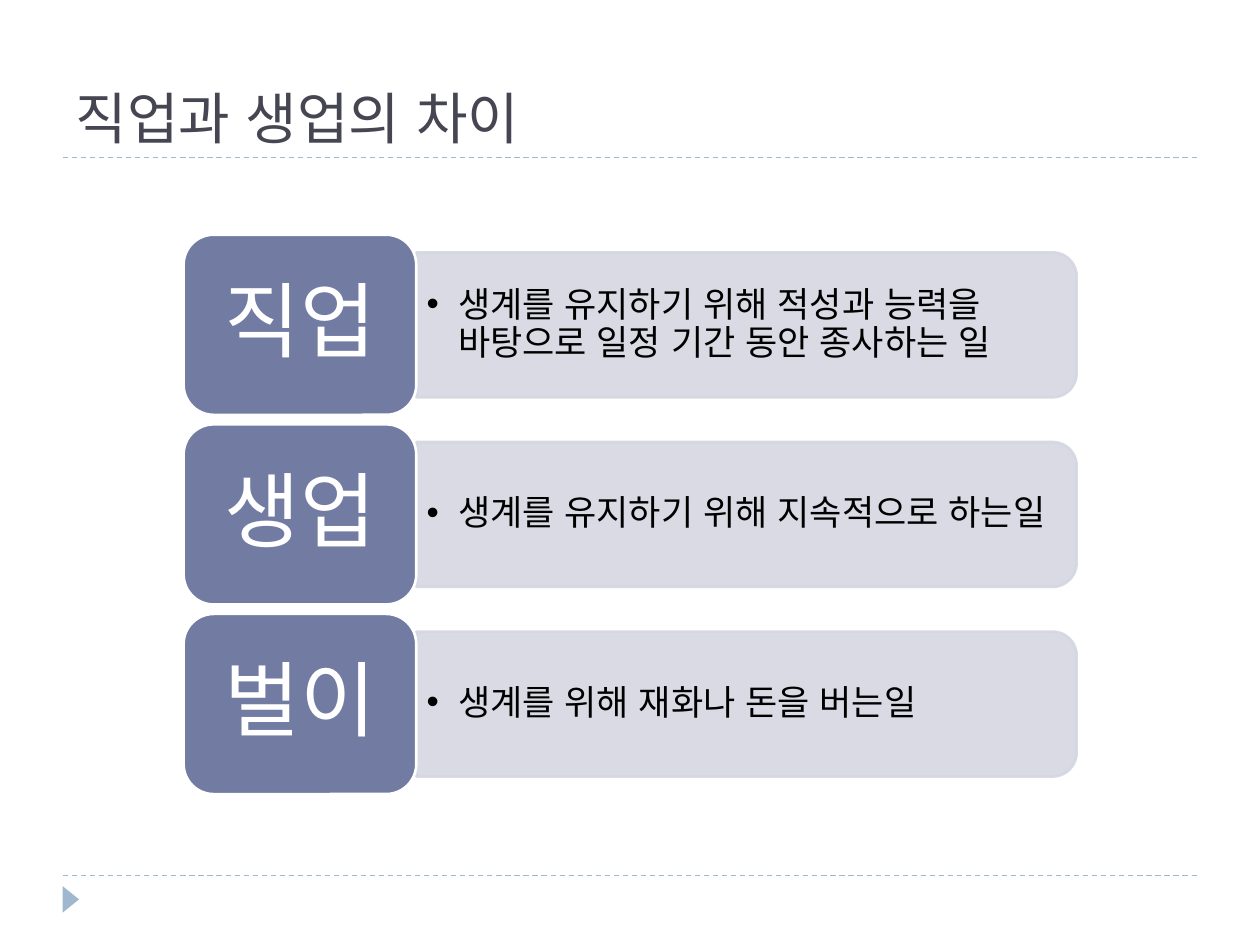
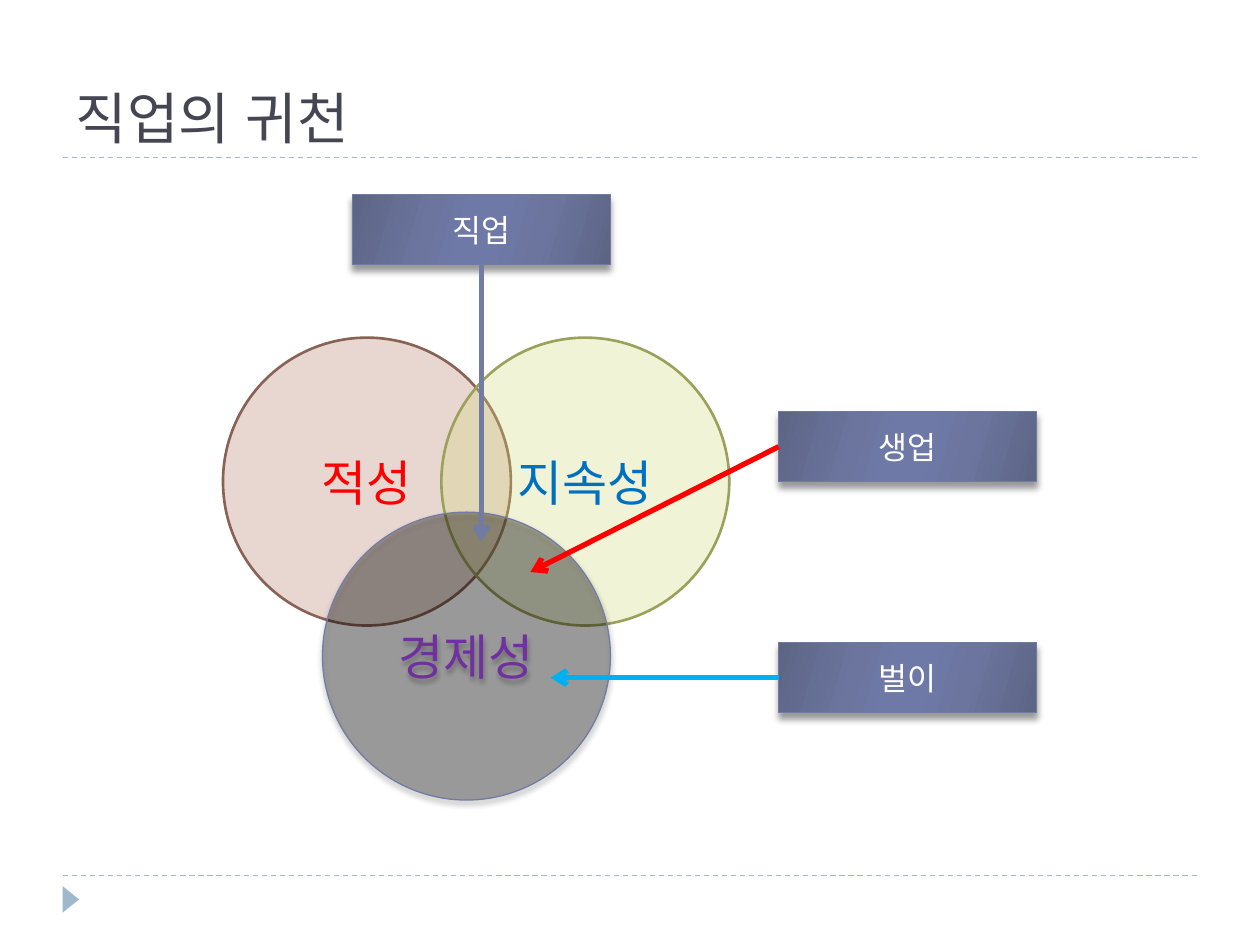
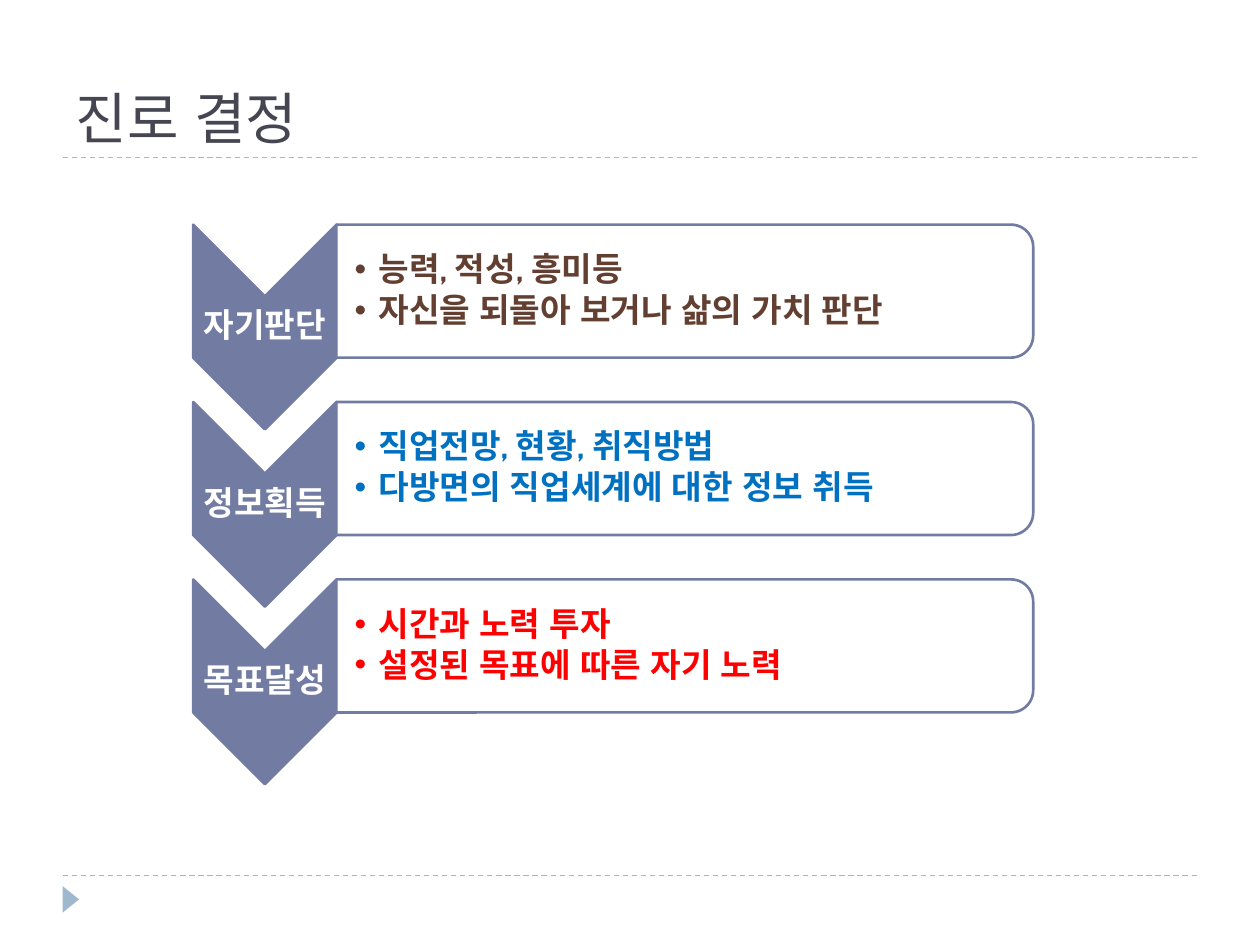
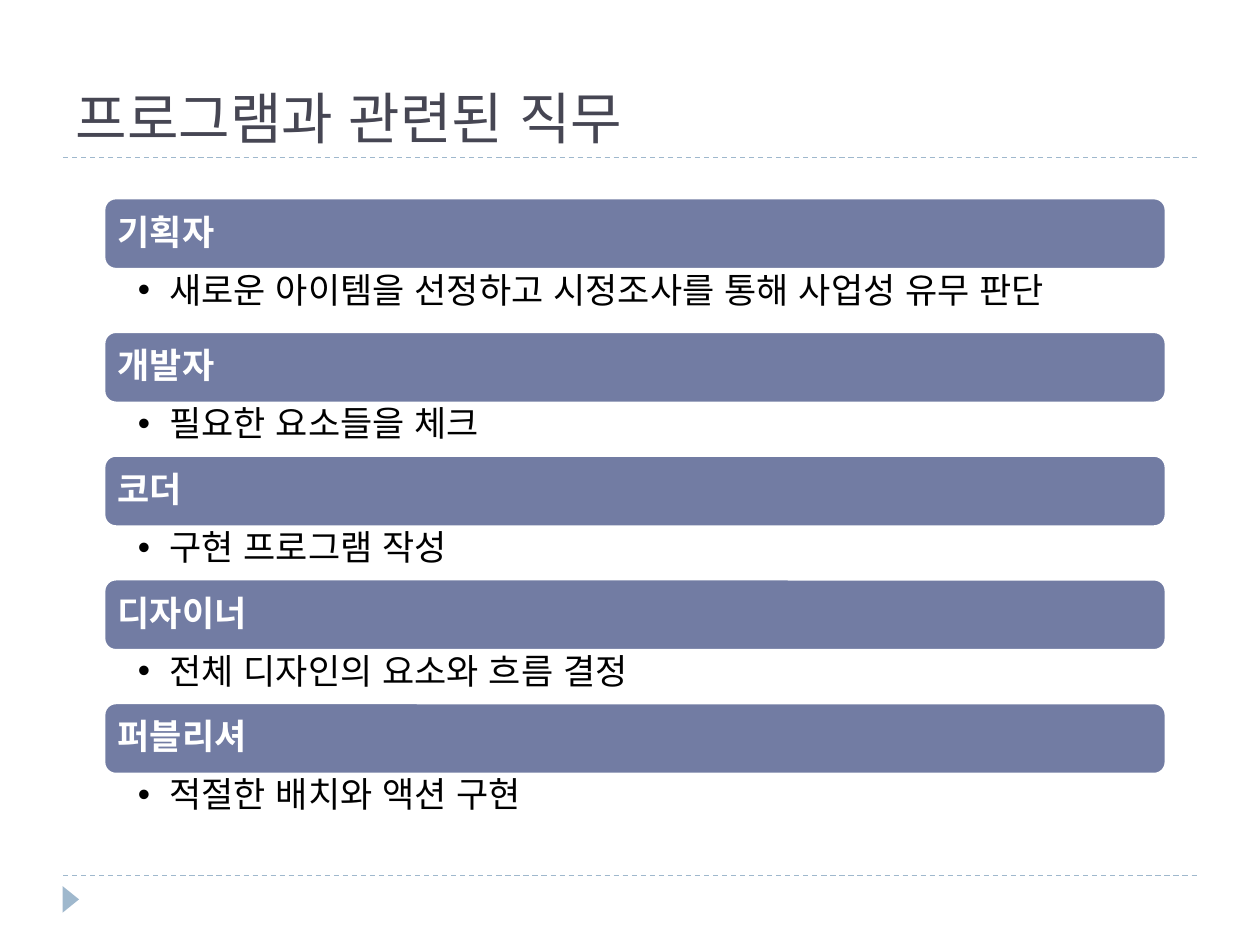
from typing import NamedTuple, Optional

from lxml.etree import SubElement
from pptx import Presentation
from pptx.dml.color import RGBColor
from pptx.enum.dml import MSO_LINE
from pptx.enum.lang import MSO_LANGUAGE_ID
from pptx.enum.shapes import MSO_CONNECTOR, MSO_SHAPE
from pptx.enum.text import MSO_ANCHOR, PP_ALIGN
from pptx.oxml.ns import qn
from pptx.util import Emu, Inches, Pt

# Slide and grid: 100 columns by 75 rows of square cells
SLIDE_W, SLIDE_H = Inches(10), Inches(7.5)
CELL = SLIDE_W / 100

# Colours
WHITE = RGBColor(0xFF, 0xFF, 0xFF)
BLACK = RGBColor(0x00, 0x00, 0x00)
TITLE_INK = RGBColor(0x46, 0x46, 0x53)
SLATE = RGBColor(0x72, 0x7C, 0xA3)
PALE_SLATE = RGBColor(0xD5, 0xD7, 0xE0)
SKY = RGBColor(0x9F, 0xB8, 0xCD)
RED = RGBColor(0xFF, 0x00, 0x00)
BLUE = RGBColor(0x00, 0x70, 0xC0)
CYAN = RGBColor(0x00, 0xB0, 0xF0)
PURPLE = RGBColor(0x70, 0x30, 0xA0)
BROWN = RGBColor(0x63, 0x3F, 0x32)
CLAY, CLAY_EDGE = RGBColor(0xB8, 0x84, 0x72), RGBColor(0x88, 0x62, 0x54)
LIME, LIME_EDGE = RGBColor(0xD2, 0xDA, 0x7A), RGBColor(0x9B, 0xA1, 0x5A)
SHADE, MIDTONE, SHINE = "5D6585", "6B759E", "6E79A7"
LABEL_GRADIENT = [(0, SHADE), (30, MIDTONE), (45, SHINE),
                  (55, SHINE), (73, MIDTONE), (100, SHADE)]

TITLE_FONT, BODY_FONT = "TeX Gyre Bonum", "Cabin"


class Box(NamedTuple):
    """Place on the slide, in columns and rows."""
    left: float
    top: float
    width: float
    height: float

    def emu(self) -> list:
        return [grid(n) for n in self]

    def turned(self) -> "Box":
        """Frame that covers this box after a quarter turn."""
        shift = (self.width - self.height) / 2
        return Box(self.left + shift, self.top - shift, self.height, self.width)


class Style(NamedTuple):
    size: float
    color: RGBColor
    bold: bool = False
    align: PP_ALIGN = PP_ALIGN.LEFT
    font: str = BODY_FONT
    spacing: Optional[float] = None  # line spacing
    after: float = 0                 # space after, as a share of the size
    indent: float = 0                # bullet indent in columns, 0 for none


class Circle(NamedTuple):
    text: str
    left: float
    top: float
    fill: RGBColor
    opacity: int
    edge: RGBColor
    edge_width: float
    ink: RGBColor


class Label(NamedTuple):
    text: str
    left: float
    top: float
    side: int        # connection site the arrow leaves from
    tip: tuple
    arrow: RGBColor


class Step(NamedTuple):
    name: str
    lines: list
    ink: RGBColor = BLACK


TITLE = Style(32, TITLE_INK, font=TITLE_FONT)


def grid(n: float) -> Emu:
    return Emu(round(n * CELL))


def set_opacity(sp, percent: int, parts=("a:solidFill",)) -> None:
    for part in parts:
        holder = sp.element.spPr
        for tag in (*part.split("/"), "a:srgbClr"):
            holder = holder.find(qn(tag))
        SubElement(holder, qn("a:alpha"), val=str(percent * 1000))


def add_shadow(sp, blur: float, distance: float) -> None:
    effects = sp.element.spPr.find(qn("a:effectLst"))
    shadow = SubElement(effects, qn("a:outerShdw"), blurRad=str(Pt(blur)),
                        dist=str(Pt(distance)), dir="5400000", rotWithShape="0")
    color = SubElement(shadow, qn("a:srgbClr"), val=str(BLACK))
    SubElement(color, qn("a:alpha"), val="40000")


def add_gradient(sp) -> None:
    sp.fill.gradient()
    sp.fill.gradient_angle = 344
    stops = sp.element.spPr.find(qn("a:gradFill")).find(qn("a:gsLst"))
    for stop in list(stops):
        stops.remove(stop)
    for position, color in LABEL_GRADIENT:
        stop = SubElement(stops, qn("a:gs"), pos=str(position * 1000))
        SubElement(stop, qn("a:srgbClr"), val=color)


def write(tf, lines: list, style: Style, anchor=MSO_ANCHOR.MIDDLE) -> None:
    tf.word_wrap = True
    tf.vertical_anchor = anchor
    for i, line in enumerate(lines):
        p = tf.add_paragraph() if i else tf.paragraphs[0]
        p.alignment = style.align
        if style.spacing:
            p.line_spacing = style.spacing
            p.space_after = Pt(style.size * style.after)
        if style.indent:
            p.level = 1
            pPr = p._p.get_or_add_pPr()
            pPr.set("marL", str(grid(style.indent)))
            pPr.set("indent", str(-grid(style.indent)))
            SubElement(pPr, qn("a:buFont"), typeface="Arial")
            SubElement(pPr, qn("a:buChar"), char="•")
        r = p.add_run()
        r.text = line
        r.font.language_id = MSO_LANGUAGE_ID.KOREAN
        r.font.name, r.font.size = style.font, Pt(style.size)
        r.font.bold = style.bold
        r.font.color.rgb = style.color


def add_text(s, box: Box, lines: list, style: Style, insets: tuple,
             anchor=MSO_ANCHOR.MIDDLE) -> None:
    tf = s.shapes.add_textbox(*box.emu()).text_frame
    (tf.margin_left, tf.margin_top,
     tf.margin_right, tf.margin_bottom) = [grid(n) for n in insets]
    write(tf, lines, style, anchor)


def add_shape(s, kind, box: Box, fill: Optional[RGBColor],
              edge: Optional[RGBColor] = None, edge_width: float = 1.5,
              turn: bool = False):
    frame = box.turned() if turn else box
    sp = s.shapes.add_shape(kind, *frame.emu())
    sp.shadow.inherit = False
    if turn:
        sp.rotation = 90
    if fill is None:
        add_gradient(sp)
    else:
        sp.fill.solid()
        sp.fill.fore_color.rgb = fill
    if edge is None:
        sp.line.fill.background()
    else:
        sp.line.color.rgb = edge
        sp.line.width = Pt(edge_width)
    return sp


def add_line(s, start: tuple, end: tuple, color: RGBColor, width: float):
    line = s.shapes.add_connector(MSO_CONNECTOR.STRAIGHT,
                                  *[grid(n) for n in (*start, *end)])
    line.line.color.rgb = color
    line.line.width = Pt(width)
    SubElement(line.element.spPr, qn("a:effectLst"))
    return line


def decorate_layout(layout, s) -> None:
    """Draw the dashed rules and the footer marker, then keep them on the layout."""
    parts = []
    for row in (69.5, 12.5):
        rule = add_line(s, (5, row), (95, row), SKY, 0.75)
        rule.line.dash_style = MSO_LINE.DASH
        parts.append(rule)
    parts.append(add_shape(s, MSO_SHAPE.ISOSCELES_TRIANGLE,
                           Box(4.97, 70.33, 1.3, 2.1), SKY, turn=True))
    for part in parts:
        layout.shapes.element.append(part.element)


def new_slide(prs, layout, title: str):
    s = prs.slides.add_slide(layout)
    ph = s.shapes.title
    ph.left, ph.top, ph.width, ph.height = Box(5, 2.5, 90, 10).emu()
    write(ph.text_frame, [title], TITLE, MSO_ANCHOR.BOTTOM)
    return s


# Slide 1: three terms with their definitions
def draw_terms(s) -> None:
    terms = [
        Step("직업", ["생계를 유지하기 위해 적성과 능력을 바탕으로 일정 기간 동안 종사하는 일"]),
        Step("생업", ["생계를 유지하기 위해 지속적으로 하는일"]),
        Step("벌이", ["생계를 위해 재화나 돈을 버는일"]),
    ]
    name_style = Style(47, WHITE, align=PP_ALIGN.CENTER, spacing=0.9, after=0.35)
    text_style = Style(20, BLACK, spacing=0.9, after=0.15, indent=2.5)
    for i, term in enumerate(terms):
        top = 18.63 + 15.05 * i
        bar = add_shape(s, MSO_SHAPE.ROUND_2_SAME_RECTANGLE,
                        Box(33.05, top + 1.4, 52.4, 11.5), PALE_SLATE, PALE_SLATE,
                        turn=True)
        set_opacity(bar, 90, ("a:solidFill", "a:ln/a:solidFill"))
        add_text(s, Box(33.05, top + 2, 51.9, 10.3), term.lines, text_style,
                 (0.8, 0.4, 0.8, 0.4))
        add_shape(s, MSO_SHAPE.ROUNDED_RECTANGLE, Box(14.57, top, 18.47, 14.3),
                  SLATE, WHITE)
        add_text(s, Box(15.27, top + 0.7, 17.1, 12.9), [term.name], name_style,
                 (2, 1, 2, 1))


# Slide 2: overlapping circles with labels pointing into them
def draw_circles(s) -> None:
    circles = [
        Circle("적성", 17.7, 26.8, CLAY, 32, CLAY_EDGE, 1.5, RED),
        Circle("지속성", 35.03, 26.8, LIME, 30, LIME_EDGE, 1.5, BLUE),
        Circle("경제성", 25.6, 40.65, BLACK, 31, SLATE, 0.75, PURPLE),
    ]
    labels = [
        Label("직업", 27.97, 15.45, 2, (38.2, 43), SLATE),
        Label("벌이", 61.8, 51, 1, (43.7, 53.78), CYAN),
        Label("생업", 61.8, 32.67, 1, (42.1, 45.4), RED),
    ]
    for c in circles:
        sp = add_shape(s, MSO_SHAPE.OVAL, Box(c.left, c.top, 22.85, 22.85),
                       c.fill, c.edge, c.edge_width)
        set_opacity(sp, c.opacity)
        write(sp.text_frame, [c.text], Style(28, c.ink, align=PP_ALIGN.CENTER))
    add_shadow(sp, 3, 2)  # only the front circle casts a shadow

    for label in labels:
        sp = add_shape(s, MSO_SHAPE.RECTANGLE, Box(label.left, label.top, 20.46, 5.56),
                       None, SLATE, 0.75)
        add_shadow(sp, 4, 3.4)
        write(sp.text_frame, [label.text], Style(18, WHITE, align=PP_ALIGN.CENTER))
        arrow = add_line(s, (label.left, label.top), label.tip, label.arrow, 3)
        arrow.begin_connect(sp, label.side)
        SubElement(arrow.element.spPr.find(qn("a:ln")), qn("a:tailEnd"), type="arrow")


# Slide 3: chevron steps
def draw_steps(s) -> None:
    steps = [
        Step("자기판단", ["능력, 적성, 흥미등", "자신을 되돌아 보거나 삶의 가치 판단"], BROWN),
        Step("정보획득", ["직업전망, 현황, 취직방법", "다방면의 직업세계에 대한 정보 취득"], BLUE),
        Step("목표달성", ["시간과 노력 투자", "설정된 목표에 따른 자기 노력"], RED),
    ]
    name_style = Style(19, WHITE, True, PP_ALIGN.CENTER, spacing=0.9, after=0.35)
    for i, step in enumerate(steps):
        top = 17.83 + 14.08 * i
        add_shape(s, MSO_SHAPE.CHEVRON, Box(15.34, top, 11.37, 16.24), SLATE, SLATE,
                  turn=True)
        add_text(s, Box(15.34, top + 5.68, 11.37, 4.87), [step.name], name_style,
                 (0.1, 0.1, 0.1, 0.1))
        bar = add_shape(s, MSO_SHAPE.ROUND_2_SAME_RECTANGLE,
                        Box(26.7, top, 55.3, 10.56), WHITE, SLATE, turn=True)
        set_opacity(bar, 90)
        add_text(s, Box(26.65, top + 0.52, 54.8, 9.53), step.lines,
                 Style(19, step.ink, True, spacing=0.9, after=0.15, indent=1.9),
                 (1.5, 0.1, 0.1, 0.1))


# Slide 4: job headings, each with its task below
def draw_jobs(s) -> None:
    jobs = [
        Step("기획자", ["새로운 아이템을 선정하고 시정조사를 통해 사업성 유무 판단"]),
        Step("개발자", ["필요한 요소들을 체크"]),
        Step("코더", ["구현 프로그램 작성"]),
        Step("디자이너", ["전체 디자인의 요소와 흐름 결정"]),
        Step("퍼블리셔", ["적절한 배치와 액션 구현"]),
    ]
    name_style = Style(20, WHITE, True, spacing=0.9, after=0.35)
    task_style = Style(20, BLACK, spacing=0.9, after=0.2, indent=2.5)
    top, band = 15.72, 5.64
    for i, job in enumerate(jobs):
        task_height = 4.18 if i else 4.97
        add_shape(s, MSO_SHAPE.ROUNDED_RECTANGLE, Box(8.26, top, 84.27, band),
                  SLATE, WHITE)
        add_text(s, Box(8.54, top + 0.28, 83.7, 5.09), [job.name], name_style,
                 (0.8, 0.8, 0.8, 0.8))
        add_text(s, Box(8.26, top + band, 84.27, task_height), job.lines, task_style,
                 (2.68, 0.3, 1.6, 0.3), MSO_ANCHOR.TOP)
        top += band + task_height


def main() -> None:
    prs = Presentation()
    prs.slide_width, prs.slide_height = SLIDE_W, SLIDE_H
    layout = prs.slide_layouts.get_by_name("Title Only")
    pages = [
        ("직업과 생업의 차이", draw_terms),
        ("직업의 귀천", draw_circles),
        ("진로 결정", draw_steps),
        ("프로그램과 관련된 직무", draw_jobs),
    ]
    for i, (title, draw) in enumerate(pages):
        s = new_slide(prs, layout, title)
        if i == 0:
            decorate_layout(layout, s)
        draw(s)
    prs.save("out.pptx")


if __name__ == "__main__":
    main()
